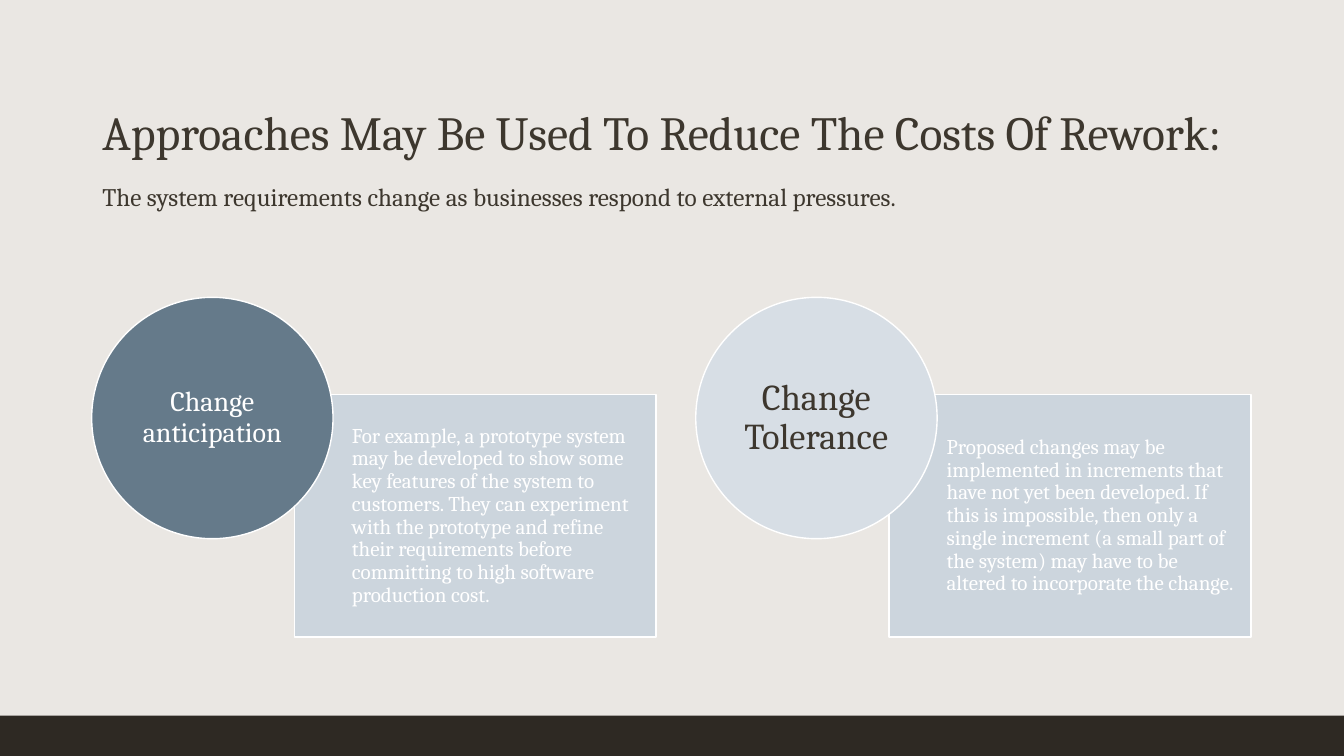
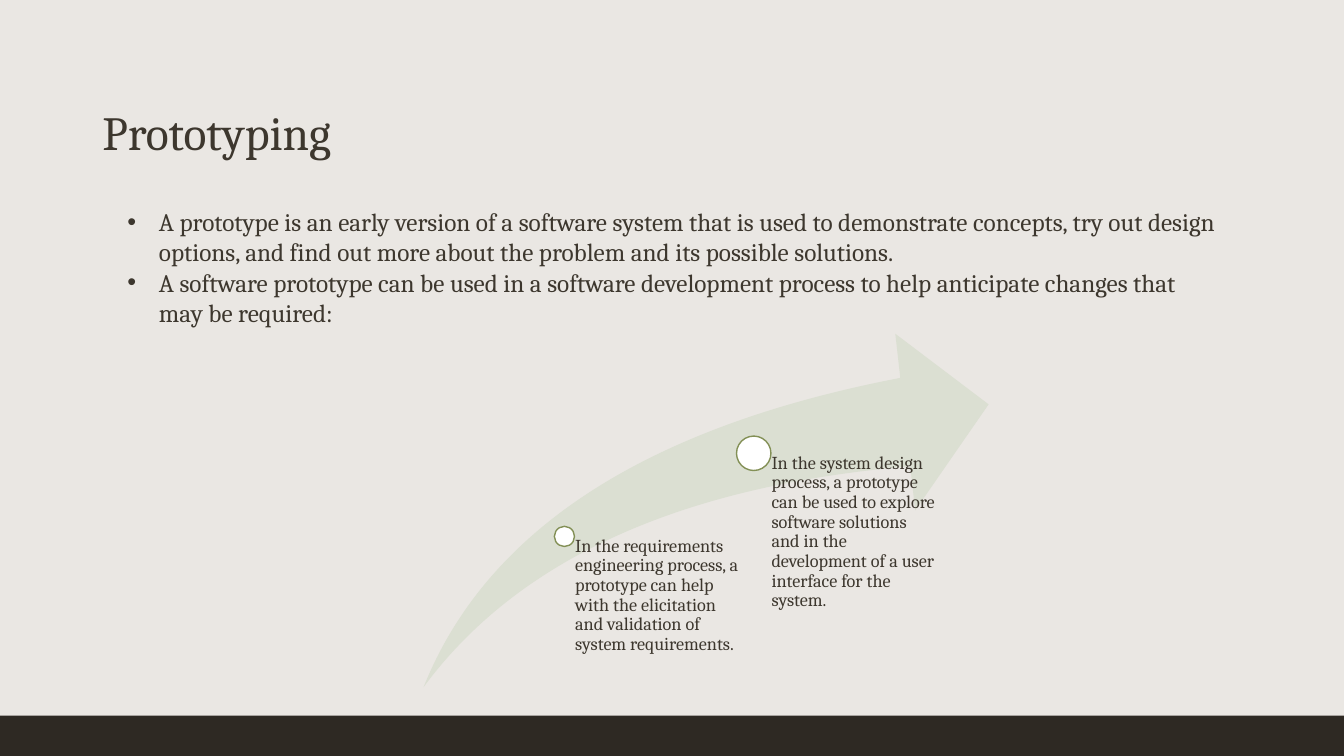
from dataclasses import dataclass

from lxml import etree
from pptx import Presentation
from pptx.dml import color
from pptx.enum import shapes, text
from pptx.oxml import ns
from pptx.util import Pt


@dataclass(frozen=True)
class Theme:
    font: str = "Cambria"
    background: str = "EAE7E3"
    band: str = "2E2923"
    ink: str = "3D372E"
    white: str = "FFFFFF"
    panel: str = "C9D4DD"
    slate: str = "657A8A"
    mist: str = "D7DEE5"
    swoosh: str = "DBDFD2"
    olive: str = "839056"
    title_size: int = 34
    body_size: int = 18
    panel_size: int = 15
    label_size: int = 13


theme = Theme()
shape_type = shapes.MSO_SHAPE
rgb = color.RGBColor.from_string


def add_shape(slide, kind, box, fill, line=None):
    shape = slide.shapes.add_shape(kind, *map(Pt, box))
    shape.shadow.inherit = False
    shape.fill.solid()
    shape.fill.fore_color.rgb = rgb(fill)
    if line:
        shape.line.color.rgb = rgb(line)
        shape.line.width = Pt(1)
    else:
        shape.line.fill.background()
    return shape


def write(shape, paragraphs, size, ink=theme.ink, anchor="TOP", align="LEFT",
          spacing=0.9, margins=(7.2, 3.6, 7.2, 3.6), bullet_indent=0):
    frame = shape.text_frame
    frame_format = dict(
        zip(("margin_left", "margin_top", "margin_right", "margin_bottom"), map(Pt, margins)),
        word_wrap=True,
        auto_size=text.MSO_AUTO_SIZE.NONE,
        vertical_anchor=text.MSO_ANCHOR[anchor],
    )
    for name, value in frame_format.items():
        setattr(frame, name, value)
    for index, wording in enumerate(paragraphs):
        paragraph = frame.add_paragraph() if index else frame.paragraphs[0]
        if bullet_indent:
            properties = paragraph._p.get_or_add_pPr()
            properties.set("marL", str(Pt(bullet_indent)))
            properties.set("indent", str(-Pt(bullet_indent)))
            etree.SubElement(properties, ns.qn("a:buFont"), typeface="Arial")
            etree.SubElement(properties, ns.qn("a:buChar"), char="•")
        paragraph.alignment = text.PP_ALIGN[align]
        paragraph.line_spacing = spacing
        run = paragraph.add_run()
        run.text = wording
        for name, value in {"name": theme.font, "size": Pt(size)}.items():
            setattr(run.font, name, value)
        run.font.color.rgb = rgb(ink)


presentation = Presentation()
presentation.slide_width = Pt(960)
presentation.slide_height = Pt(540)
master = presentation.slide_master
master.background.fill.solid()
master.background.fill.fore_color.rgb = rgb(theme.background)

titles = ["Approaches May Be Used To Reduce The Costs Of Rework:", "Prototyping"]
slides = []
for title in titles:
    slide = presentation.slides.add_slide(presentation.slide_layouts[5])
    placeholder = slide.shapes.title
    title_box = {"left": 66, "top": 28.8, "width": 828, "height": 90}
    for name, value in title_box.items():
        setattr(placeholder, name, Pt(value))
    write(placeholder, [title], theme.title_size, anchor="BOTTOM")
    slides.append(slide)
rework_slide, prototyping_slide = slides

band = add_shape(rework_slide, shape_type.RECTANGLE, (0, 511.2, 960, 28.8), theme.band)
master.element.cSld.spTree.insert(2, band.element)

approaches = [
    (65.5, 210.2, "Change anticipation", 20, theme.slate, theme.white,
     "For example, a prototype system may be developed to show some key features of the "
     "system to customers. They can experiment with the prototype and refine their "
     "requirements before committing to high software production cost."),
    (497, 635, "Change Tolerance", 26, theme.mist, theme.ink,
     "Proposed changes may be implemented in increments that have not yet been developed. "
     "If this is impossible, then only a single increment (a small part of the system) may "
     "have to be altered to incorporate the change."),
]
for circle_left, panel_left, name, name_size, fill, ink, detail in approaches:
    panel = add_shape(rework_slide, shape_type.RECTANGLE, (panel_left, 282, 258.5, 173),
                      theme.panel, theme.white)
    panel_colour = panel.fill._xPr.find(".//" + ns.qn("a:srgbClr"))
    etree.SubElement(panel_colour, ns.qn("a:alpha"), val="90000")
    write(panel, [detail], theme.panel_size, theme.white, "MIDDLE",
          margins=(41.2, 8.6, 8.6, 8.6))
    circle = add_shape(rework_slide, shape_type.OVAL, (circle_left, 212.4, 172.4, 172.4),
                       fill, theme.white)
    write(circle, [name], name_size, ink, "MIDDLE", "CENTER", margins=(0, 0, 0, 0))

subtitle = rework_slide.shapes.add_textbox(*map(Pt, (66, 126, 791, 29)))
write(subtitle, ["The system requirements change as businesses respond to external pressures."],
      theme.body_size, spacing=1)

swoosh = add_shape(prototyping_slide, shape_type.SWOOSH_ARROW, (302.6, 238.4, 403.6, 252.4),
                   theme.swoosh)
swoosh.adjustments[0] = 0.25
swoosh.adjustments[1] = 0.25

uses = [
    (403.2, 383.2, 14.4, 108,
     "In the requirements engineering process, a prototype can help with the elicitation "
     "and validation of system requirements."),
    (538.4, 323.8, 24.6, 167,
     "In the system design process, a prototype can be used to explore software solutions "
     "and in the development of a user interface for the system."),
]
for center_x, center_y, diameter, height, wording in uses:
    radius = diameter / 2
    add_shape(prototyping_slide, shape_type.OVAL,
              (center_x - radius, center_y - radius, diameter, diameter),
              theme.white, theme.olive)
    label = prototyping_slide.shapes.add_textbox(*map(Pt, (center_x, center_y, 131, height)))
    write(label, [wording], theme.label_size, margins=(radius + 0.4, 0, 0, 0))

points = prototyping_slide.shapes.add_textbox(*map(Pt, (84, 144, 792, 94)))
write(points, [
    "A prototype is an early version of a software system that is used to demonstrate concepts, "
    "try out design options, and find out more about the problem and its possible solutions.",
    "A software prototype can be used in a software development process to help anticipate "
    "changes that may be required:",
], theme.body_size, spacing=1, bullet_indent=22.5)

presentation.save("out.pptx")
